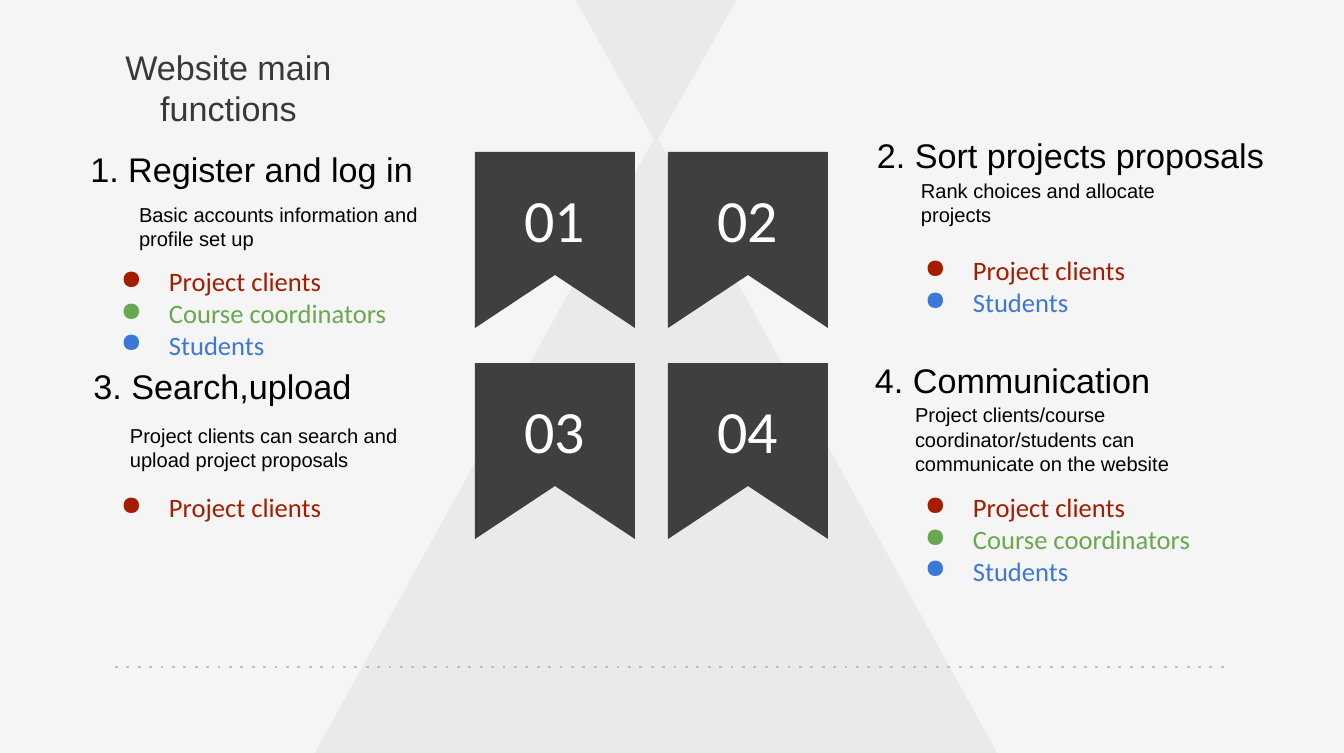
from lxml.etree import SubElement
from pptx import Presentation
from pptx.dml.color import RGBColor
from pptx.enum.dml import MSO_LINE
from pptx.enum.shapes import MSO_CONNECTOR, MSO_SHAPE
from pptx.enum.text import MSO_ANCHOR, PP_ALIGN
from pptx.oxml.ns import qn
from pptx.util import Pt

COLORS = {
    "background": "F5F5F5", "triangle": "EAEAEA", "ribbon": "3F3F3F",
    "number": "FFFFFF", "title": "3B3837", "text": "000000", "rule": "BFBFBF",
    "clients": "A61C00", "coordinators": "6AA84F", "students": "3C78D8",
}
TITLE = "Website main functions"
USERS = {
    "clients": "Project clients",
    "coordinators": "Course coordinators",
    "students": "Students",
}
LEFT, CENTER, RIGHT = PP_ALIGN.LEFT, PP_ALIGN.CENTER, PP_ALIGN.RIGHT

# Boxes are (left, top, width, height) in px.
# heading, box, alignment, description, box, users, box
FUNCTIONS = [
    ("1. Register and log in", (67, 148, 346, 41), RIGHT,
     "Basic accounts information and profile set up", (139, 202, 301, 49),
     ["clients", "coordinators", "students"], (87, 251, 332, 124)),
    ("2. Sort projects proposals", (877, 134, 467, 41), LEFT,
     "Rank choices and allocate projects", (921, 178, 285, 49),
     ["clients", "students"], (891, 240, 350, 92)),
    ("3. Search,upload", (32, 365, 381, 41), CENTER,
     "Project clients can search and upload project proposals",
     (130, 423, 272, 49),
     ["clients"], (87, 477, 332, 60)),
    ("4. Communication", (875, 359, 304, 41), LEFT,
     "Project clients/course coordinator/students can communicate on the website",
     (915, 402, 301, 74),
     ["clients", "coordinators", "students"], (891, 477, 350, 124)),
]
RIBBON_LEFT, RIBBON_TOP = 475, 152
RIBBON_W, RIBBON_H, NOTCH_Y = 160, 176, 123
COLUMN_STEP, ROW_STEP = 193, 211

SCALE = 914400 / 136.6


def px(n):
    return round(n * SCALE)


def rgb(name):
    return RGBColor.from_string(COLORS[name])


def paint(sp, color, outline=None):
    sp.shadow.inherit = False
    sp.fill.solid()
    sp.fill.fore_color.rgb = rgb(color)
    if outline:
        sp.line.color.rgb = rgb(color)
        sp.line.width = Pt(outline)
    else:
        sp.line.fill.background()


def set_frame(sp, inset_x, inset_y, anchor):
    tf = sp.text_frame
    tf.word_wrap = True
    tf.vertical_anchor = anchor
    tf.margin_left = tf.margin_right = px(inset_x)
    tf.margin_top = tf.margin_bottom = px(inset_y)
    return tf


def write(p, text, size, font, color, align=LEFT):
    p.alignment = align
    r = p.add_run()
    r.text = text
    r.font.size = Pt(size)
    r.font.name = font
    r.font.color.rgb = rgb(color)


def add_text(shapes, box, text, size, color="text", align=LEFT,
             inset=(0, 0), anchor=MSO_ANCHOR.MIDDLE):
    sp = shapes.add_textbox(*map(px, box))
    tf = set_frame(sp, *inset, anchor)
    write(tf.paragraphs[0], text, size, "Arial", color, align)


def add_users(shapes, box, users):
    """Bulleted list with each bullet in the colour of its user."""
    tf = set_frame(shapes.add_textbox(*map(px, box)), 14, 14, MSO_ANCHOR.TOP)
    for i, user in enumerate(users):
        p = tf.add_paragraph() if i else tf.paragraphs[0]
        write(p, USERS[user], 14, "Calibri", user)
        pPr = p._p.get_or_add_pPr()
        pPr.set("marL", str(px(68)))
        pPr.set("indent", str(px(-48)))
        bullet_color = SubElement(pPr, qn("a:buClr"))
        SubElement(bullet_color, qn("a:srgbClr")).set("val", COLORS[user])
        SubElement(pPr, qn("a:buChar")).set("char", "●")


def add_ribbon(shapes, left, top, number):
    right, bottom = left + RIBBON_W, top + RIBBON_H
    outline = shapes.build_freeform(left, top, scale=SCALE)
    outline.add_line_segments([
        (right, top), (right, bottom),
        (left + RIBBON_W / 2, top + NOTCH_Y), (left, bottom)])
    paint(outline.convert_to_shape(), "ribbon")
    label = shapes.add_shape(
        MSO_SHAPE.RECTANGLE, *map(px, (left + 31, top + 24, 98, 86)))
    paint(label, "ribbon")
    tf = set_frame(label, 13, 7, MSO_ANCHOR.TOP)
    write(tf.paragraphs[0], number, 31.6, "Calibri", "number", CENTER)


def add_rule(shapes, x1, x2, y):
    rule = shapes.add_connector(
        MSO_CONNECTOR.STRAIGHT, px(x1), px(y), px(x2), px(y))
    rule.line.color.rgb = rgb("rule")
    rule.line.width = Pt(1.5)
    rule.line.dash_style = MSO_LINE.ROUND_DOT
    next(rule.element.iter(qn("a:prstDash"))).set("val", "dot")
    SubElement(rule.element.spPr, qn("a:effectLst"))


def main():
    prs = Presentation()
    prs.slide_width, prs.slide_height = px(1344), px(753)
    s = prs.slides.add_slide(prs.slide_layouts[6])
    s.background.fill.solid()
    s.background.fill.fore_color.rgb = rgb("background")

    for top, height, rotation in [(139, 614, 0), (-463, 602, 180)]:
        triangle = s.shapes.add_shape(
            MSO_SHAPE.ISOSCELES_TRIANGLE, *map(px, (317, top, 678, height)))
        triangle.rotation = rotation
        paint(triangle, "triangle", outline=2)

    for i, function in enumerate(FUNCTIONS):
        heading, heading_box, align, about, about_box, users, users_box = function
        row, column = divmod(i, 2)
        add_ribbon(s.shapes, RIBBON_LEFT + column * COLUMN_STEP,
                   RIBBON_TOP + row * ROW_STEP, f"{i + 1:02}")
        add_text(s.shapes, heading_box, heading, 18, align=align)
        add_text(s.shapes, about_box, about, 10.6)
        add_users(s.shapes, users_box, users)

    add_rule(s.shapes, 115, 1225, 667)
    add_text(s.shapes, (83, 41, 291, 93), TITLE, 18, "title", CENTER,
             inset=(10, 5), anchor=MSO_ANCHOR.TOP)
    prs.save("out.pptx")


if __name__ == "__main__":
    main()
